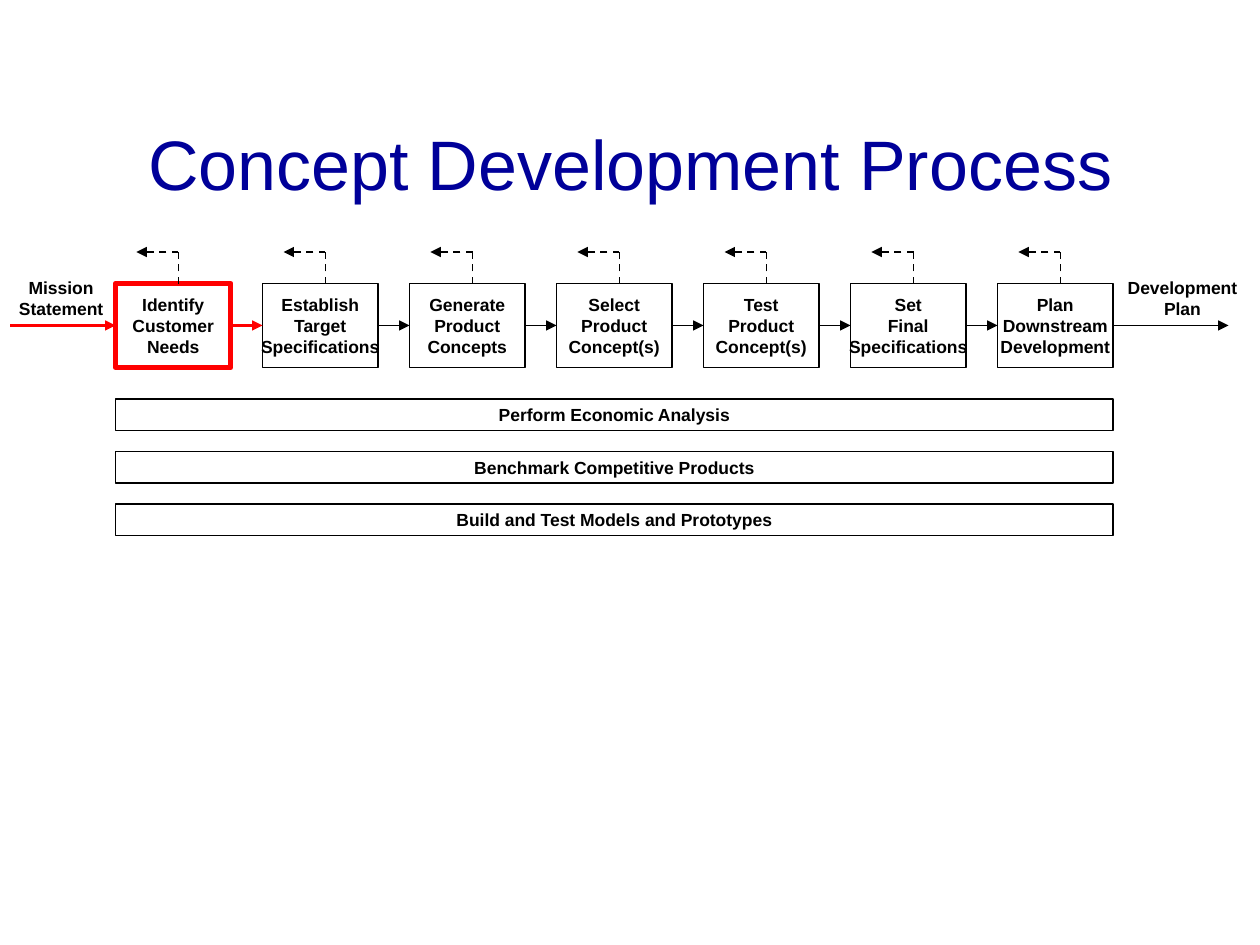
from lxml import etree
from pptx import Presentation
from pptx.dml.color import RGBColor
from pptx.enum.dml import MSO_LINE
from pptx.enum.shapes import MSO_CONNECTOR, MSO_SHAPE
from pptx.enum.text import MSO_ANCHOR, MSO_AUTO_SIZE, PP_ALIGN
from pptx.oxml.ns import qn
from pptx.util import Pt

RECT = MSO_SHAPE.RECTANGLE
STRAIGHT = MSO_CONNECTOR.STRAIGHT
DASH = MSO_LINE.DASH
TOP, MIDDLE = MSO_ANCHOR.TOP, MSO_ANCHOR.MIDDLE
CENTER = PP_ALIGN.CENTER
NO_FIT, GROW = MSO_AUTO_SIZE.NONE, MSO_AUTO_SIZE.SHAPE_TO_FIT_TEXT

BLACK, RED, NAVY = "000000", "FF0000", "000099"
LEFT, PITCH, STEP_W, STEP_TOP, STEP_H = 66, 84, 66, 162, 48
FLOW_Y = STEP_TOP + STEP_H / 2
STEPS = [
    "Identify\nCustomer\nNeeds",
    "Establish\nTarget\nSpecifications",
    "Generate\nProduct\nConcepts",
    "Select\nProduct\nConcept(s)",
    "Test\nProduct\nConcept(s)",
    "Set\vFinal\nSpecifications",
    "Plan\nDownstream\nDevelopment",
]
ACTIVITIES = [
    "Perform Economic Analysis",
    "Benchmark Competitive Products",
    "Build and Test Models and Prototypes",
]


def rgb(color):
    """Return the colour for a hex string."""
    return RGBColor.from_string(color)


def set_text(tf, text, size=10, color=BLACK, bold=True, anchor=MIDDLE, wrap=False, fit=NO_FIT):
    """Write centred text into a text frame and format it."""
    tf.text = text
    tf.word_wrap = wrap
    tf.auto_size = fit
    tf.vertical_anchor = anchor
    for p in tf.paragraphs:
        p.alignment = CENTER
        for r in p.runs:
            r.font.name = "Arial"
            r.font.size = Pt(size)
            r.font.bold = bold
            r.font.color.rgb = rgb(color)


def add_title(s, text):
    """Place and fill the title placeholder."""
    sp = s.shapes.title
    sp.left, sp.top, sp.width, sp.height = Pt(54), Pt(48), Pt(612), Pt(90)
    set_text(sp.text_frame, text, size=40, color=NAVY, bold=False, wrap=True)


def add_box(s, text, left, top, width, height, color=BLACK, weight=1):
    """Add an outlined rectangle with text."""
    sp = s.shapes.add_shape(RECT, Pt(left), Pt(top), Pt(width), Pt(height))
    sp.shadow.inherit = False
    sp.fill.background()
    sp.line.color.rgb = rgb(color)
    sp.line.width = Pt(weight)
    set_text(sp.text_frame, text)


def add_label(s, text, left, width, wrap):
    """Add a text label above the flow line."""
    sp = s.shapes.add_textbox(Pt(left), Pt(154.8), Pt(width), Pt(31))
    set_text(sp.text_frame, text, anchor=TOP, wrap=wrap, fit=GROW)


def add_line(shapes, x1, y1, x2, y2, color=BLACK, weight=1, dash=None, arrow=True):
    """Add a straight line, with an arrowhead at its end if wanted."""
    sp = shapes.add_connector(STRAIGHT, Pt(x1), Pt(y1), Pt(x2), Pt(y2))
    sp.line.color.rgb = rgb(color)
    sp.line.width = Pt(weight)
    if dash:
        sp.line.dash_style = dash
    sp_pr = sp._element.spPr
    if arrow:
        etree.SubElement(sp_pr.find(qn("a:ln")), qn("a:tailEnd"), type="triangle")
    etree.SubElement(sp_pr, qn("a:effectLst"))


def add_feedback(s, left):
    """Add the grouped dashed arrow that turns back above a step."""
    shapes = s.shapes.add_group_shape().shapes
    x, y = left + 36, STEP_TOP - 18
    add_line(shapes, x, STEP_TOP, x, y, dash=DASH, arrow=False)
    add_line(shapes, x, y, left + 12, y, dash=DASH)


def main():
    """Build the slide and save it."""
    prs = Presentation()
    prs.slide_width, prs.slide_height = Pt(720), Pt(540)
    s = prs.slides.add_slide(prs.slide_layouts[5])
    add_title(s, "Concept Development Process")

    lefts = [LEFT + i * PITCH for i in range(len(STEPS))]
    flow_end = lefts[-1] + STEP_W
    for i, text in enumerate(ACTIVITIES):
        add_box(s, text, LEFT, 228 + i * 30, flow_end - LEFT, 18)
    for i, (left, text) in enumerate(zip(lefts, STEPS)):
        color, weight = (RED, 3) if i == 0 else (BLACK, 1)
        add_box(s, text, left, STEP_TOP, STEP_W, STEP_H, color, weight)

    add_label(s, "Mission\nStatement", 3.6, 62.6, wrap=True)
    add_label(s, "Development\nPlan", 637.2, 77, wrap=False)

    starts = [6] + [left + STEP_W for left in lefts]
    for i, (x1, x2) in enumerate(zip(starts, lefts + [702])):
        color, weight = (RED, 1.5) if i < 2 else (BLACK, 1)
        add_line(s.shapes, x1, FLOW_Y, x2, FLOW_Y, color, weight)
    for left in lefts:
        add_feedback(s, left)

    prs.save("out.pptx")


if __name__ == "__main__":
    main()
